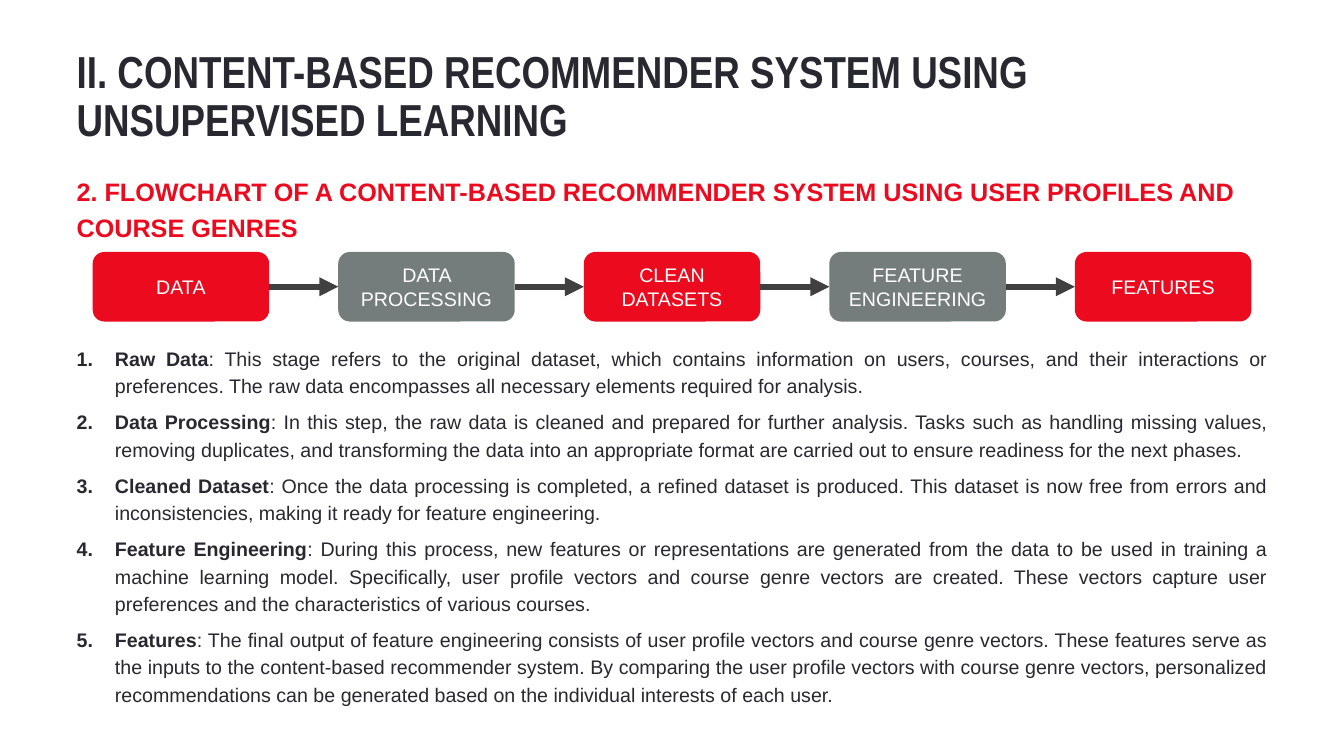
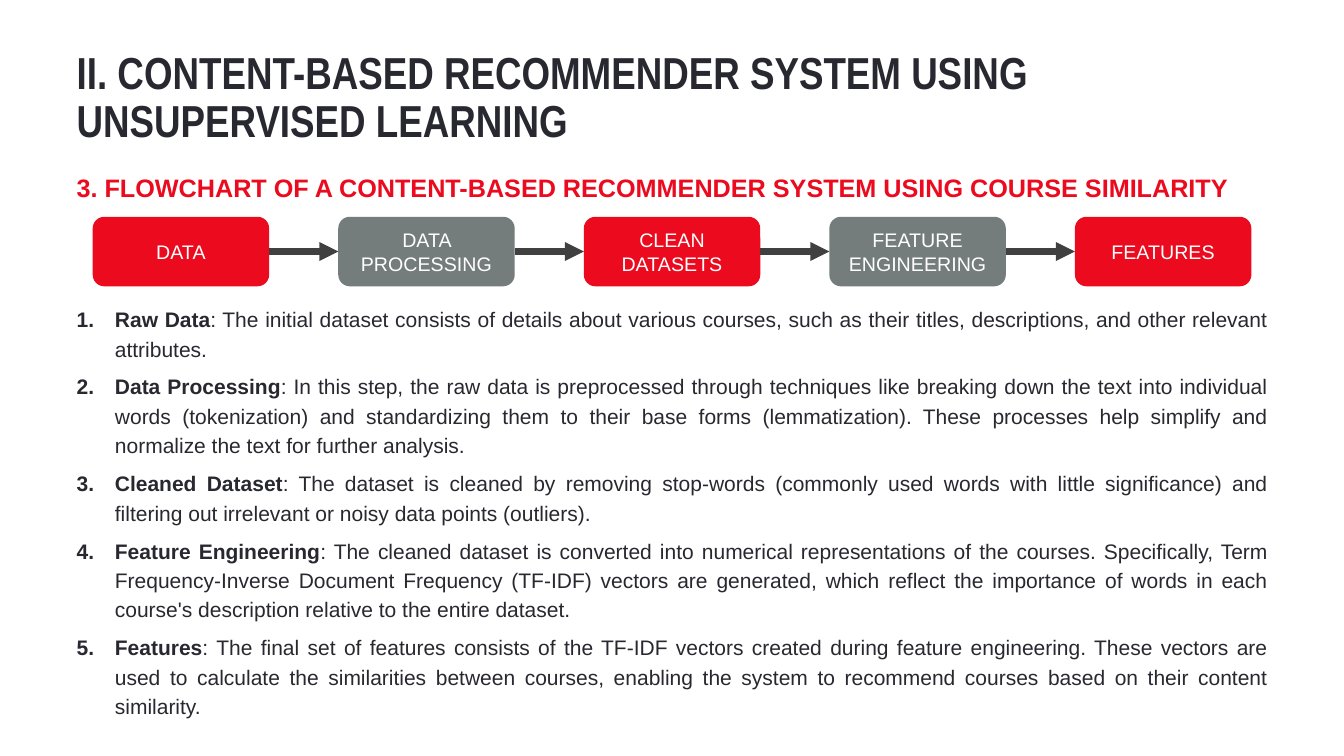
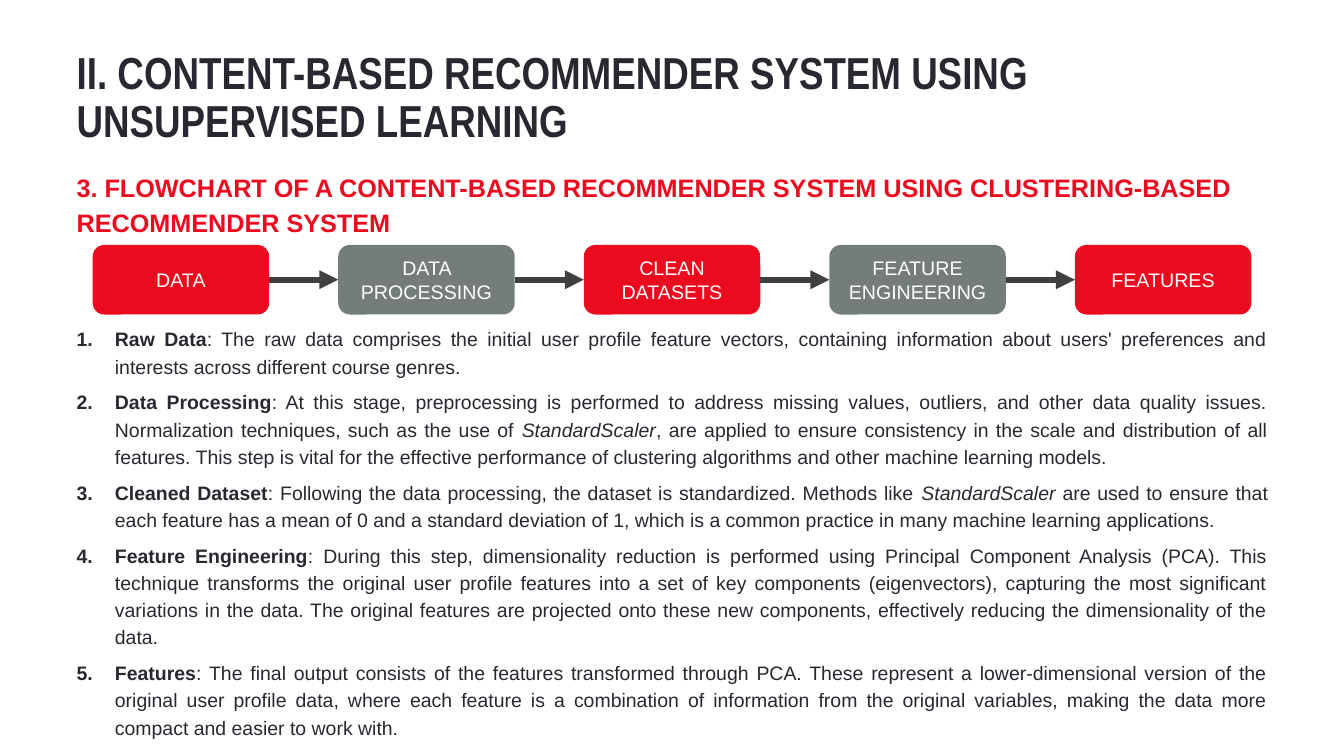
from dataclasses import dataclass
from itertools import pairwise
from lxml.etree import SubElement
from pptx import Presentation
from pptx.dml.color import RGBColor
from pptx.enum.shapes import MSO_CONNECTOR, MSO_SHAPE
from pptx.enum.text import MSO_ANCHOR, MSO_AUTO_SIZE, PP_ALIGN
from pptx.oxml.ns import qn
from pptx.util import Inches, Pt


@dataclass(frozen=True)
class Theme:
    ink: str = "282830"
    red: str = "EB0A1E"
    gray: str = "747C7C"
    dark: str = "404040"
    white: str = "FFFFFF"
    sans: str = "Arial"
    slim: str = "Arial Narrow"
    title: float = 32
    head: float = 18
    label: float = 14
    arrow: float = 4.5
    gap: float = 6
    lead: float = 1.17


theme = Theme()
deck = Presentation()
deck.slide_width, deck.slide_height = Inches(13.33), Inches(7.5)
wide, high = deck.slide_width / 100, deck.slide_height / 100

left, span = 5.7, 88.68
first, pitch, width, height = 6.9, 18.27, 13.13, 9.2
hang = Inches(0.38)
title = "II. CONTENT-BASED RECOMMENDER SYSTEM USING UNSUPERVISED LEARNING"
steps = ["DATA", "DATA PROCESSING", "CLEAN DATASETS", "FEATURE ENGINEERING", "FEATURES"]
names = ["Raw Data", "Data Processing", "Cleaned Dataset", "Feature Engineering", "Features"]

pages = [
    {
        "head": "2. FLOWCHART OF A CONTENT-BASED RECOMMENDER SYSTEM USING USER PROFILES AND COURSE GENRES",
        "tops": (6.53, 22.67, 33.33, 45.33),
        "tall": (19.87, 51.6),
        "size": 14,
        "notes": [
            [": This stage refers to the original dataset, which contains information on users, courses, and their interactions or preferences. The raw data encompasses all necessary elements required for analysis."],
            [": In this step, the raw data is cleaned and prepared for further analysis. Tasks such as handling missing values, removing duplicates, and transforming the data into an appropriate format are carried out to ensure readiness for the next phases."],
            [": Once the data processing is completed, a refined dataset is produced. This dataset is now free from errors and inconsistencies, making it ready for feature engineering."],
            [": During this process, new features or representations are generated from the data to be used in training a machine learning model. Specifically, user profile vectors and course genre vectors are created. These vectors capture user preferences and the characteristics of various courses."],
            [": The final output of feature engineering consists of user profile vectors and course genre vectors. These features serve as the inputs to the content-based recommender system. By comparing the user profile vectors with course genre vectors, personalized recommendations can be generated based on the individual interests of each user."],
        ],
    },
    {
        "head": "3. FLOWCHART OF A CONTENT-BASED RECOMMENDER SYSTEM USING COURSE SIMILARITY",
        "tops": (6.67, 22.13, 28.67, 40),
        "tall": (16.8, 55.47),
        "size": 15,
        "notes": [
            [": The initial dataset consists of details about various courses, such as their titles, descriptions, and other relevant attributes."],
            [": In this step, the raw data is preprocessed through techniques like breaking down the text into individual words (tokenization) and standardizing them to their base forms (lemmatization). These processes help simplify and normalize the text for further analysis."],
            [": The dataset is cleaned by removing stop-words (commonly used words with little significance) and filtering out irrelevant or noisy data points (outliers)."],
            [": The cleaned dataset is converted into numerical representations of the courses. Specifically, Term Frequency-Inverse Document Frequency (TF-IDF) vectors are generated, which reflect the importance of words in each course's description relative to the entire dataset."],
            [": The final set of features consists of the TF-IDF vectors created during feature engineering. These vectors are used to calculate the similarities between courses, enabling the system to recommend courses based on their content similarity."],
        ],
    },
    {
        "head": "3. FLOWCHART OF A CONTENT-BASED RECOMMENDER SYSTEM USING CLUSTERING-BASED RECOMMENDER SYSTEM",
        "tops": (6.67, 22.13, 32.4, 42.8),
        "tall": (16.8, 55.47),
        "size": 13.9,
        "notes": [
            [": The raw data comprises the initial user profile feature vectors, containing information about users' preferences and interests across different course genres."],
            [": At this stage, preprocessing is performed to address missing values, outliers, and other data quality issues. Normalization techniques, such as the use of ", "StandardScaler", ", are applied to ensure consistency in the scale and distribution of all features. This step is vital for the effective performance of clustering algorithms and other machine learning models."],
            [": Following the data processing, the dataset is standardized. Methods like ", "StandardScaler", " are used to ensure that each feature has a mean of 0 and a standard deviation of 1, which is a common practice in many machine learning applications."],
            [": During this step, dimensionality reduction is performed using Principal Component Analysis (PCA). This technique transforms the original user profile features into a set of key components (eigenvectors), capturing the most significant variations in the data. The original features are projected onto these new components, effectively reducing the dimensionality of the data."],
            [": The final output consists of the features transformed through PCA. These represent a lower-dimensional version of the original user profile data, where each feature is a combination of information from the original variables, making the data more compact and easier to work with."],
        ],
    },
]


def frame(shape, top, tall):
    shape.left, shape.top = int(left * wide), int(top * high)
    shape.width, shape.height = int(span * wide), int(tall * high)
    text = shape.text_frame
    text.margin_left = text.margin_top = text.margin_right = text.margin_bottom = 0
    text.word_wrap = True
    text.auto_size = MSO_AUTO_SIZE.NONE
    text.vertical_anchor = MSO_ANCHOR.TOP
    return text


def say(para, words, size, color, font=theme.sans, bold=False, slant=False):
    run = para.add_run()
    run.text = words
    run.font.name, run.font.size = font, Pt(size)
    run.font.bold, run.font.italic = bold, slant
    run.font.color.rgb = RGBColor.from_string(color)


for page in pages:
    slide = deck.slides.add_slide(deck.slide_layouts[3])
    crown, head, body = slide.placeholders
    top, under, row, base = page["tops"]
    short, deep = page["tall"]

    para = frame(crown, top, 12.93).paragraphs[0]
    para.alignment, para.line_spacing, para.space_before = PP_ALIGN.LEFT, 0.9, Pt(0)
    say(para, title, theme.title, theme.ink, theme.slim, bold=True)

    para = frame(head, under, short).paragraphs[0]
    props = para._p.get_or_add_pPr()
    props.set("marL", "0")
    props.set("indent", "0")
    SubElement(props, qn("a:buNone"))
    para.line_spacing, para.space_before = theme.lead, Pt(0)
    say(para, page["head"], theme.head, theme.red, bold=True)

    text = frame(body, base, deep)
    for num, (name, parts) in enumerate(zip(names, page["notes"])):
        para = text.add_paragraph() if num else text.paragraphs[0]
        props = para._p.get_or_add_pPr()
        props.set("marL", str(hang))
        props.set("indent", str(-hang))
        SubElement(props, qn("a:buFont"), typeface="+mj-lt")
        SubElement(props, qn("a:buAutoNum"), type="arabicPeriod")
        para.alignment, para.line_spacing = PP_ALIGN.JUSTIFY, theme.lead
        para.space_before = Pt(theme.gap if num else 0)
        for spot, words in enumerate([name, *parts]):
            say(para, words, page["size"], theme.ink, bold=spot == 0, slant=spot == 2)

    boxes = []
    for num, step in enumerate(steps):
        box = slide.shapes.add_shape(
            MSO_SHAPE.ROUNDED_RECTANGLE,
            int((first + num * pitch) * wide), int(row * high),
            int(width * wide), int(height * high))
        box.shadow.inherit = False
        box.fill.solid()
        box.fill.fore_color.rgb = RGBColor.from_string(theme.gray if num % 2 else theme.red)
        box.line.fill.background()
        box.text_frame.word_wrap = True
        box.text_frame.vertical_anchor = MSO_ANCHOR.MIDDLE
        para = box.text_frame.paragraphs[0]
        para.alignment = PP_ALIGN.CENTER
        say(para, step, theme.label, theme.white)
        boxes.append(box)

    for start, end in pairwise(boxes):
        link = slide.shapes.add_connector(MSO_CONNECTOR.STRAIGHT, 0, 0, 0, 0)
        link.begin_connect(start, 3)
        link.end_connect(end, 1)
        link.line.color.rgb = RGBColor.from_string(theme.dark)
        link.line.width = Pt(theme.arrow)
        SubElement(link.line._get_or_add_ln(), qn("a:tailEnd"), type="triangle")
        SubElement(link._element.spPr, qn("a:effectLst"))

deck.save("out.pptx")
